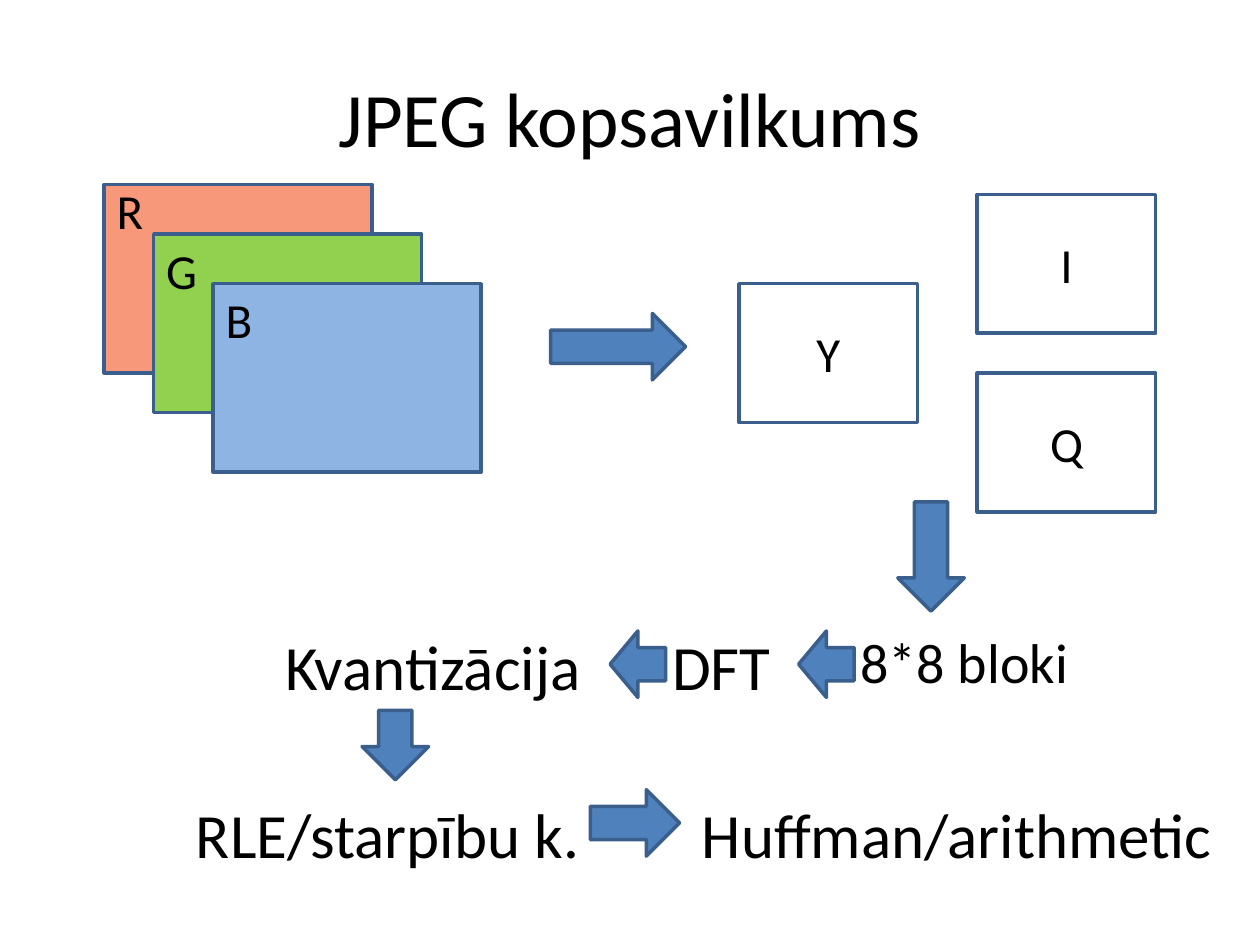
"""Build the JPEG summary slide on a square grid of 127 columns."""
from pptx import Presentation
from pptx.dml.color import RGBColor
from pptx.enum.shapes import MSO_SHAPE
from pptx.enum.text import MSO_ANCHOR, MSO_AUTO_SIZE, PP_ALIGN
from pptx.util import Inches, Pt


def color(hex_value):
    return RGBColor.from_string(hex_value)


def write(holder, words, size, align, frame_format):
    frame = holder.text_frame
    for attribute, value in frame_format.items():
        setattr(frame, attribute, value)
    line = frame.paragraphs[0]
    line.text = words
    line.alignment = align
    for attribute, value in {"name": "Calibri", "size": Pt(size)}.items():
        setattr(line.font, attribute, value)
    line.font.color.rgb = color("000000")


deck = Presentation()
deck.slide_width, deck.slide_height = Inches(10), Inches(7.5)
slide = deck.slides.add_slide(deck.slide_layouts[6])
unit = deck.slide_width / 127

CENTERED = {"word_wrap": True, "vertical_anchor": MSO_ANCHOR.MIDDLE}
LABEL = {"word_wrap": False, "auto_size": MSO_AUTO_SIZE.SHAPE_TO_FIT_TEXT}
RECT, RIGHT, DOWN, LEFT = (MSO_SHAPE.RECTANGLE, MSO_SHAPE.RIGHT_ARROW,
                           MSO_SHAPE.DOWN_ARROW, MSO_SHAPE.LEFT_ARROW)
ARROW_BLUE = "4F81BD"

color_planes = [
    (RECT, 10.5, 18.6, 27, 19, "F8987A", ""),
    (RECT, 15.5, 23.6, 27, 18, "92D050", ""),
    (RECT, 21.5, 28.6, 27, 19, "8EB4E3", ""),
]
yiq_planes = [
    (RECT, column, row, 18, 14, "FFFFFF", channel)
    for channel, column, row in [("Y", 74.5, 28.6), ("I", 98.5, 19.6), ("Q", 98.5, 37.6)]
]
flow_arrows = [
    (RIGHT, 55.5, 31.6, 13.6, 6.7, ARROW_BLUE, ""),
    (DOWN, 90.5, 50.6, 6.7, 11, ARROW_BLUE, ""),
    (LEFT, 80.5, 63.6, 5.6, 6.7, ARROW_BLUE, ""),
    (LEFT, 61.5, 63.6, 5.6, 6.7, ARROW_BLUE, ""),
    (DOWN, 36.5, 71.6, 6.7, 7, ARROW_BLUE, ""),
    (RIGHT, 59.5, 79.6, 9, 6.7, ARROW_BLUE, ""),
]
for outline, column, row, columns, rows, fill, channel in color_planes + yiq_planes + flow_arrows:
    block = slide.shapes.add_shape(
        outline, *(round(n * unit) for n in (column, row, columns, rows)))
    block.shadow.inherit = False
    block.fill.solid()
    block.fill.fore_color.rgb = color(fill)
    block.line.color.rgb = color("3A5F8C")
    block.line.width = Pt(2)
    if channel:
        write(block, channel, 28, PP_ALIGN.CENTER, CENTERED)

captions = [
    ("JPEG kopsavilkums", 6.35, 3.8, 114.3, 15.9, 44, PP_ALIGN.CENTER, CENTERED),
] + [
    (words, column, row, columns, rows, size, PP_ALIGN.LEFT, LABEL)
    for words, column, row, columns, rows, size in [
        ("R", 10.5, 17.6, 5.3, 7.2, 28),
        ("G", 15.5, 23.6, 5.7, 7.2, 28),
        ("B", 21.5, 28.6, 5.3, 7.2, 28),
        ("8*8 bloki", 85.5, 62.6, 23.7, 8.1, 32),
        ("DFT", 66.5, 62.6, 12.6, 9, 36),
        ("Kvantizācija", 27.5, 62.6, 32.6, 9, 36),
        ("RLE/starpību k.", 18.5, 79.6, 41.6, 9, 36),
        ("Huffman/arithmetic", 69.5, 79.6, 54.5, 9, 36),
    ]
]
for words, column, row, columns, rows, size, align, frame_format in captions:
    caption = slide.shapes.add_textbox(
        *(round(n * unit) for n in (column, row, columns, rows)))
    write(caption, words, size, align, frame_format)

deck.save("out.pptx")
